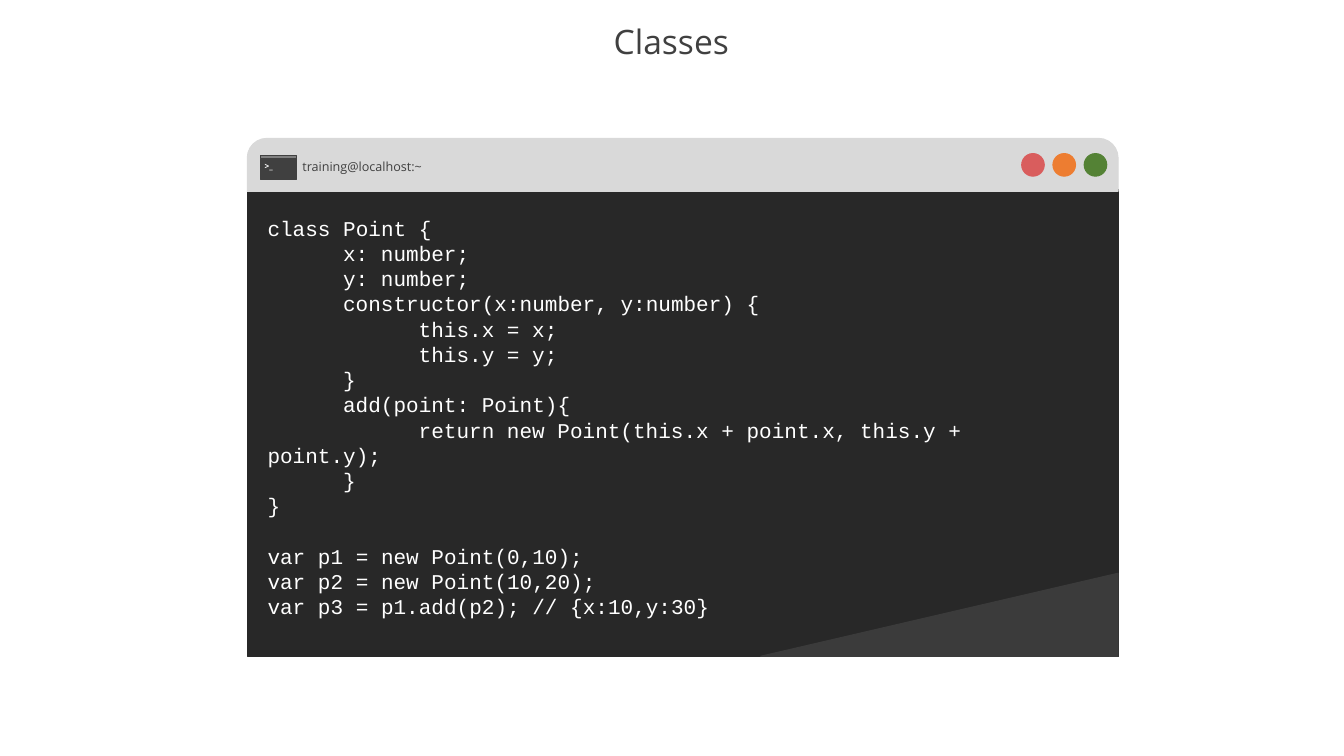
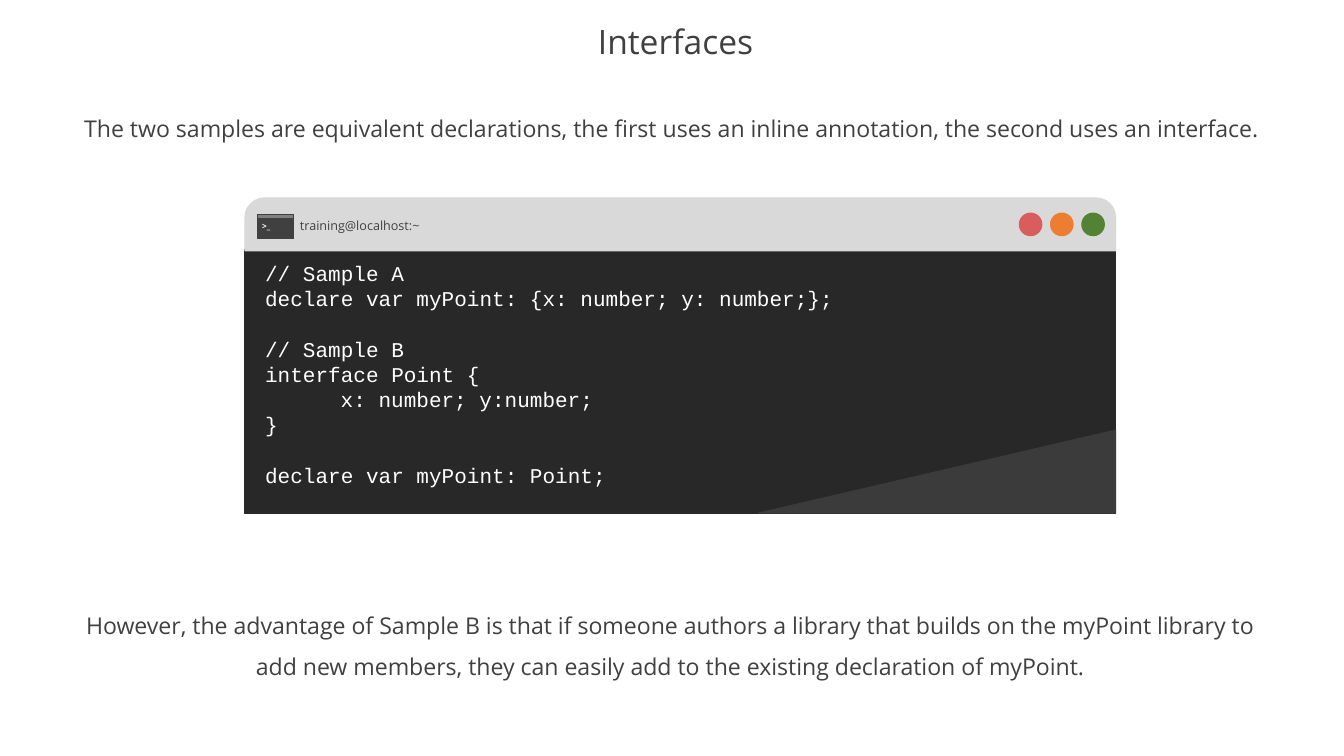
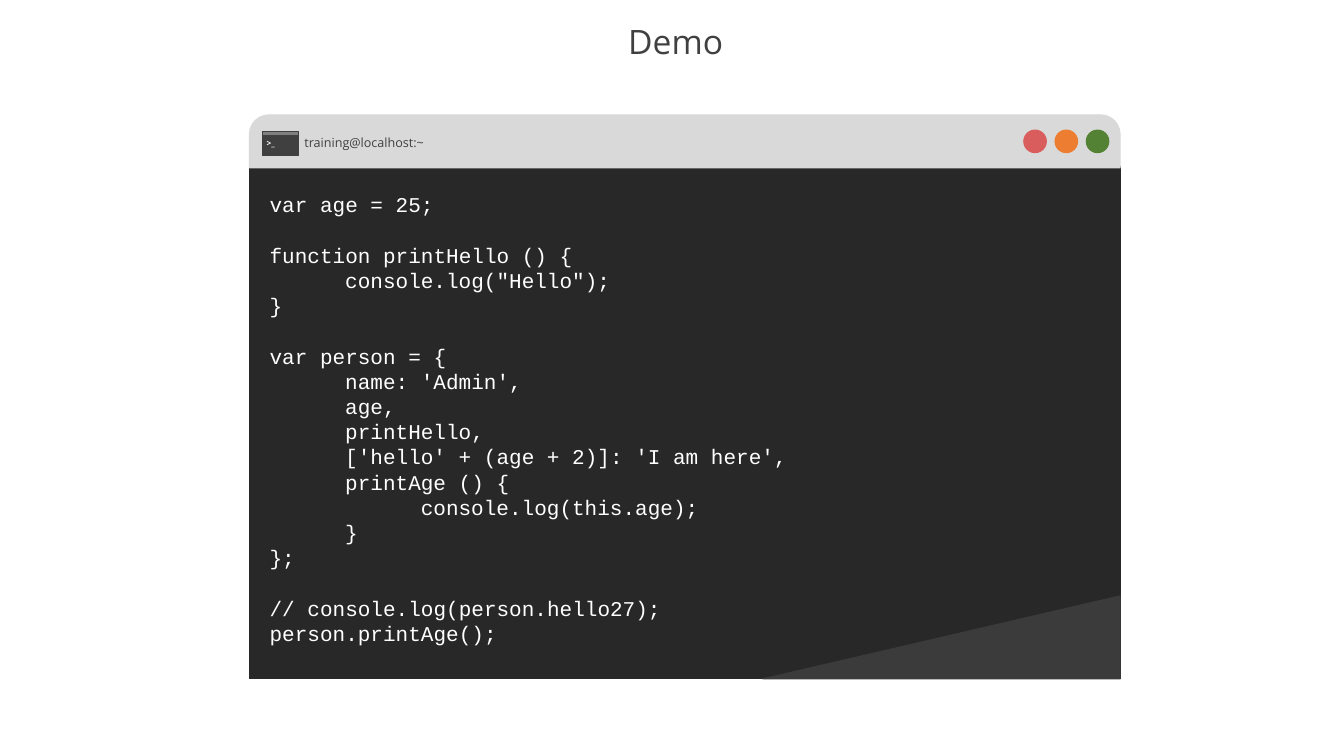
from lxml import etree
from pptx import Presentation
from pptx.dml.color import RGBColor
from pptx.enum import shapes as kinds, text as texts
from pptx.oxml import ns
from pptx.util import Cm, Pt

GREY, WHITE = "404040", "FFFFFF"
BODY, FOLD, BAR, STRIP = "282828", "3B3B3B", "D9D9D9", "808080"
BUTTONS = ["D95D5D", "ED7D31", "548235"]
SANS, MONO = "Open Sans", "Courier New"
SLIDE_WIDTH, SLIDE_HEIGHT = 45.16, 25.4
WINDOW_WIDTH = 29.26
BAR_HEIGHT = 1.78
BODY_OFFSET = 1.73
FOLD_WIDTH, FOLD_HEIGHT = 12.01, 2.79

CLASSES = """class Point {
\tx: number;
\ty: number;
\tconstructor(x:number, y:number) {
\t\tthis.x = x;
\t\tthis.y = y;
\t}
\tadd(point: Point){
\t\treturn new Point(this.x + point.x, this.y + point.y);
\t}
}

var p1 = new Point(0,10);
var p2 = new Point(10,20);
var p3 = p1.add(p2); // {x:10,y:30}"""

INTERFACES = """// Sample A
declare var myPoint: {x: number; y: number;};

// Sample B
interface Point {
\tx: number; y:number;
}

declare var myPoint: Point;"""

DEMO = """var age = 25;

function printHello () {
\tconsole.log("Hello");
}

var person = {
\tname: 'Admin',
\tage,
\tprintHello,
\t['hello' + (age + 2)]: 'I am here',
\tprintAge () {
\t\tconsole.log(this.age);
\t}
};

// console.log(person.hello27);
person.printAge();"""

INTRO = ("The two samples are equivalent declarations, the first uses an inline annotation, "
         "the second uses an interface.")
ADVANTAGE = ("However, the advantage of Sample B is that if someone authors a library that builds "
             "on the myPoint library to add new members, they can easily add to the existing "
             "declaration of myPoint.")

# title, window left and top, body height, code offset and height, code,
# notes as (box, line spacing, text)
SLIDES = [
    ("Classes ", 8.31, 4.65, 15.67, 2.46, 13.94, CLASSES, []),
    ("Interfaces", 8.23, 6.65, 8.86, 1.98, 7.95, INTERFACES,
     [((2.03, 3.71, 41.07, 1.19), 1.0, INTRO),
      ((1.96, 19.94, 41.12, 3.07), 1.5, ADVANTAGE)]),
    ("Demo", 8.38, 3.86, 17.22, 2.46, 15.65, DEMO, []),
]


def paint(shape, fill, line=None):
    shape.shadow.inherit = False
    shape.fill.solid()
    shape.fill.fore_color.rgb = RGBColor.from_string(fill)
    shape.line.color.rgb = RGBColor.from_string(line or fill)
    shape.line.width = Pt(1)


def add_text(container, box, text, size, color=GREY, font=SANS, wrap=True, bold=None,
             align=None, spacing=None, tabs=()):
    """Add a text box; an empty line in the text becomes space before the next one."""
    frame = container.add_textbox(*map(Cm, box)).text_frame
    frame.word_wrap = wrap
    frame.auto_size = texts.MSO_AUTO_SIZE.SHAPE_TO_FIT_TEXT
    for block_number, block in enumerate(text.split("\n\n")):
        for line_number, line in enumerate(block.split("\n")):
            first_in_block = line_number == 0
            if first_in_block and block_number == 0:
                paragraph = frame.paragraphs[0]
            else:
                paragraph = frame.add_paragraph()
            paragraph.text = line
            if tabs:
                properties = paragraph._p.get_or_add_pPr()
                tab_list = etree.SubElement(properties, ns.qn("a:tabLst"))
                for position in tabs:
                    etree.SubElement(tab_list, ns.qn("a:tab"), pos=str(Cm(position)), algn="l")
            if first_in_block and block_number > 0:
                paragraph.space_before = Pt(1.2 * size)
            paragraph.alignment = align
            paragraph.line_spacing = spacing
            paragraph.font.size = Pt(size)
            paragraph.font.name = font
            paragraph.font.bold = bold
            paragraph.font.color.rgb = RGBColor.from_string(color)
    return frame


presentation = Presentation()
presentation.slide_width = Cm(SLIDE_WIDTH)
presentation.slide_height = Cm(SLIDE_HEIGHT)
center = texts.PP_ALIGN.CENTER
rectangle = kinds.MSO_SHAPE.RECTANGLE

for title, left, top, body_height, code_offset, code_height, code, notes in SLIDES:
    slide = presentation.slides.add_slide(presentation.slide_layouts[6])

    frame = add_text(slide.shapes, (0, 0.53, SLIDE_WIDTH, 1.85), title, 32,
                     align=center, spacing=0.9)
    frame.auto_size = texts.MSO_AUTO_SIZE.NONE
    frame.vertical_anchor = texts.MSO_ANCHOR.MIDDLE
    frame.margin_left = Cm(0.25)
    frame.margin_right = frame.margin_top = frame.margin_bottom = 0

    for box, spacing, note in notes:
        add_text(slide.shapes, box, note, 22, align=center, spacing=spacing)

    window = slide.shapes.add_group_shape().shapes
    body_top = top + BODY_OFFSET
    right, bottom = left + WINDOW_WIDTH, body_top + body_height
    body = window.add_shape(rectangle, Cm(left), Cm(body_top), Cm(WINDOW_WIDTH), Cm(body_height))
    paint(body, BODY)

    outline = window.build_freeform(Cm(right), Cm(bottom - FOLD_HEIGHT))
    outline.add_line_segments([(Cm(right), Cm(bottom)), (Cm(right - FOLD_WIDTH), Cm(bottom))])
    paint(outline.convert_to_shape(), FOLD)

    bar = window.add_shape(kinds.MSO_SHAPE.ROUND_2_SAME_RECTANGLE,
                           Cm(left), Cm(top), Cm(WINDOW_WIDTH), Cm(BAR_HEIGHT))
    bar.adjustments[0] = 0.368
    bar.adjustments[1] = 0
    paint(bar, BAR)

    for number, color in enumerate(BUTTONS):
        button = window.add_shape(kinds.MSO_SHAPE.OVAL, Cm(left + 26.02 + 1.05 * number),
                                  Cm(top + 0.51), Cm(0.76), Cm(0.76))
        paint(button, color)

    add_text(window, (left + 1.6, top + 0.56, 4.57, 0.76), "training@localhost:~", 12, wrap=False)
    for offset, height, fill in [(0.69, 0.69, GREY), (0.56, 0.13, STRIP)]:
        icon_part = window.add_shape(rectangle, Cm(left + 0.43), Cm(top + offset),
                                     Cm(1.22), Cm(height))
        paint(icon_part, fill, GREY)
    add_text(window, (left + 0.33, top + 0.64, 0.79, 0.61), ">_", 8, WHITE, wrap=False, bold=True)

    add_text(window, (left + 0.43, top + code_offset, 27.66, code_height), code, 20,
             WHITE, MONO, tabs=(2.54, 5.08))

presentation.save("out.pptx")
